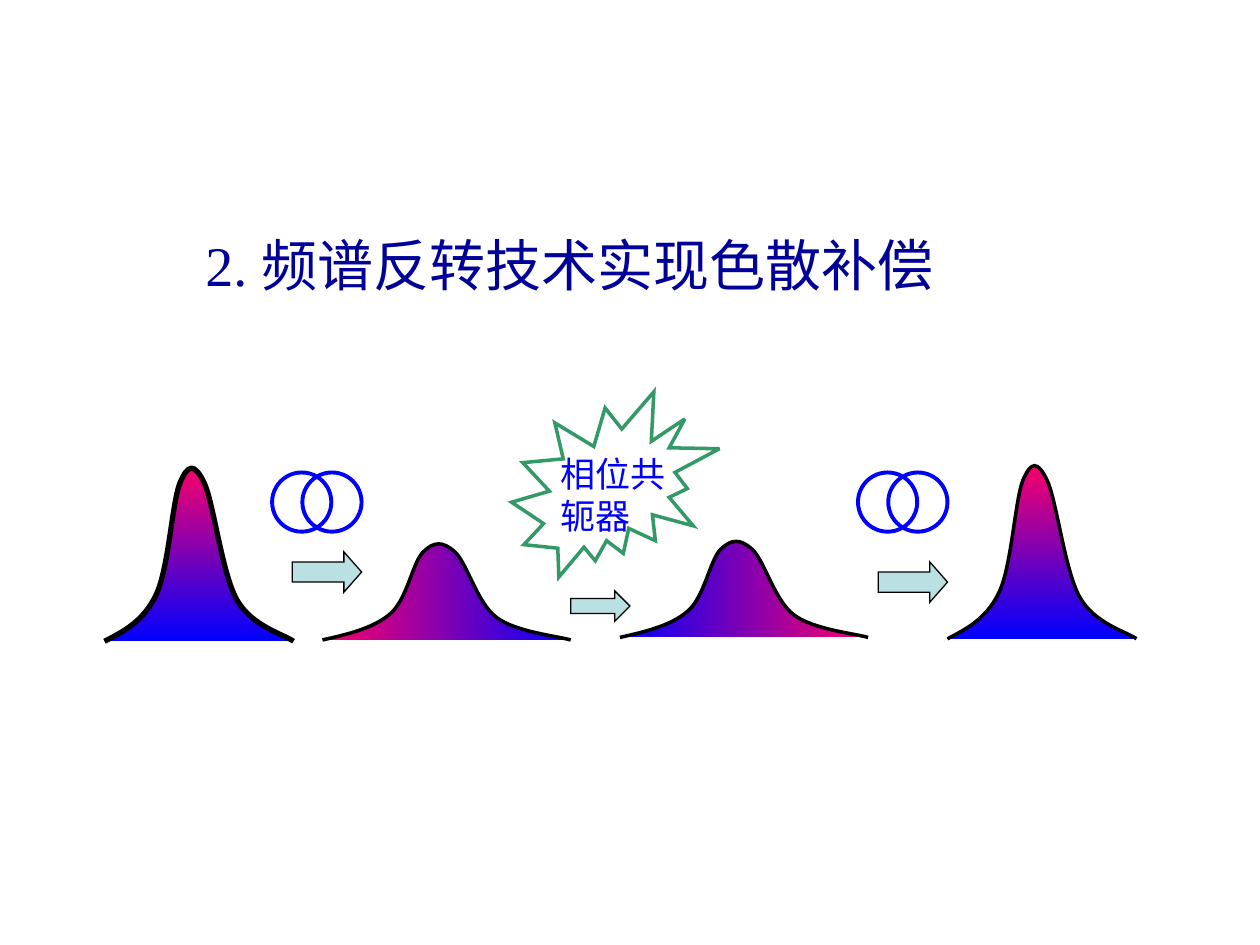
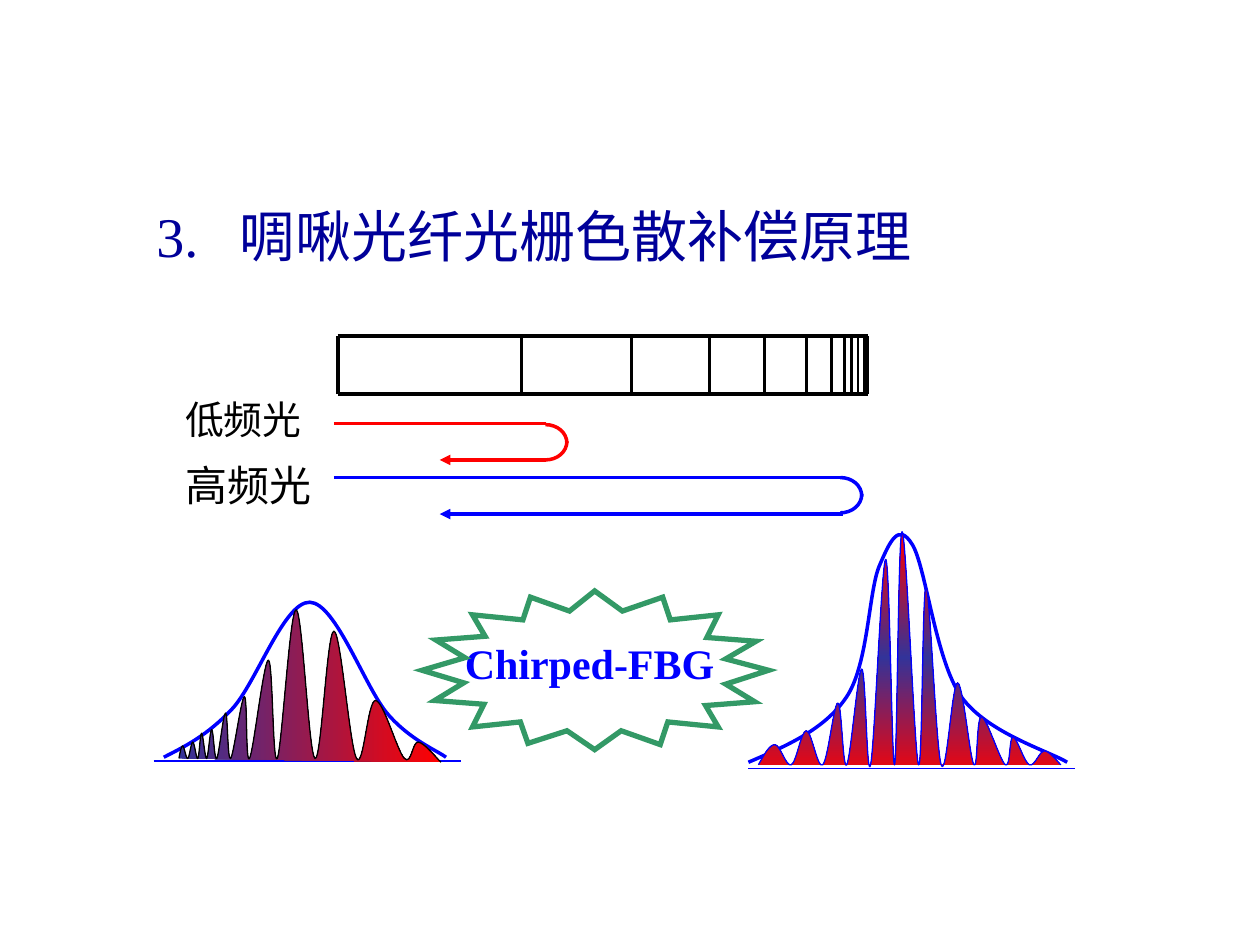
import copy
import itertools

import pptx
import pptx.dml.color
import pptx.enum.shapes
import pptx.enum.text
import pptx.oxml.ns
import pptx.util
from lxml import etree

Inches = pptx.util.Inches
Pt = pptx.util.Pt
RGB = pptx.dml.color.RGBColor.from_string
qn = pptx.oxml.ns.qn
SHAPE = pptx.enum.shapes.MSO_SHAPE

COLORS = {
    "title": "000099",
    "blue": "0000FF",
    "indigo": "333399",
    "red": "FF0000",
    "pink": "FF0066",
    "green": "339966",
    "arrow": "BBE0E3",
    "black": "000000",
}
LATIN_FONT = "Times New Roman"
ASIAN_FONT = "Noto Sans CJK SC"


def smooth_curve(knots):
    """Return start, then two controls and an end for each cubic piece through the knots."""
    points = [knots[0]]
    last = len(knots) - 1
    for index in range(last):
        before, start = knots[max(index - 1, 0)], knots[index]
        end, after = knots[index + 1], knots[min(index + 2, last)]
        control_2 = [e - (a - s) / 6 for s, e, a in zip(start, end, after)]
        if index == 0:
            control_1 = [(s + c) / 2 for s, c in zip(start, control_2)]
        else:
            control_1 = [s + (e - b) / 6 for b, s, e in zip(before, start, end)]
        points += [control_1, control_2, end]
    return points


def add_outline(slide, points, line_color, width, stops=(), angle=0, curved=True):
    """Draw cubic pieces, or a closed polygon; stops give a gradient (clockwise angle)."""
    corners = [(Inches(x), Inches(y)) for x, y in points]
    builder = slide.shapes.build_freeform(*corners[0], scale=1.0)
    builder.add_line_segments(corners[1:], close=not curved)
    shape = builder.convert_to_shape()
    shape.shadow.inherit = False
    shape.line.color.rgb = RGB(COLORS[line_color])
    shape.line.width = Pt(width)
    if curved:
        segments = list(shape._element.iter(qn("a:lnTo")))
        for first in range(0, len(segments), 3):
            piece = etree.Element(qn("a:cubicBezTo"))
            segments[first].addprevious(piece)
            for segment in segments[first:first + 3]:
                piece.append(segment[0])
                segment.getparent().remove(segment)
    else:
        etree.SubElement(shape.line._get_or_add_ln(), qn("a:miter"), lim="800000")
    if not stops:
        shape.fill.background()
        return
    shape.fill.gradient()
    shape.fill.gradient_angle = -angle % 360
    stop_list = shape._element.spPr.find(qn("a:gradFill")).find(qn("a:gsLst"))
    while len(stop_list) < len(stops):
        stop_list.append(copy.deepcopy(stop_list[0]))
    for index, (stop, color) in enumerate(zip(shape.fill.gradient_stops, stops)):
        stop.position = index / (len(stops) - 1)
        stop.color.rgb = RGB(COLORS[color])


presentation = pptx.Presentation()
presentation.slide_width = Inches(10)
presentation.slide_height = Inches(7.5)
title_only = presentation.slide_layouts[5]
inversion = presentation.slides.add_slide(title_only)
grating = presentation.slides.add_slide(title_only)

# Titles and labels: shape, box, text, size, color, bold, line spacing, indent, tab stop
texts = [
    (inversion.shapes.title, (1.53, 1.78, 6.14, 0.64),
     "2. 频谱反转技术实现色散补偿", 32, "title", False, 1, 0, None),
    (grating.shapes.title, (1.14, 1.55, 7.09, 0.64),
     "3.\t啁啾光纤光栅色散补偿原理", 32, "title", False, 1, 0, 0.66),
    (inversion.shapes.add_textbox(0, 0, 0, 0), (4.35, 3.54, 1.13, 0.77),
     "相位共轭器", 20, "blue", False, 1, 0, None),
    (grating.shapes.add_textbox(0, 0, 0, 0), (1.37, 3.6, 1.31, 0.56),
     "高频光", 24, "black", False, 1, 0, None),
    (grating.shapes.add_textbox(0, 0, 0, 0), (1.37, 3.13, 1.62, 0.48),
     "低频光", 22.2, "black", False, 0.9, 0, None),
    (grating.shapes.add_textbox(0, 0, 0, 0), (3.5, 5.01, 2.52, 0.5),
     "Chirped-FBG", 24, "blue", True, 1, 0.09, None),
]
for shape, box, text, size, color, bold, spacing, indent, tab_stop in texts:
    shape.left, shape.top, shape.width, shape.height = map(Inches, box)
    frame = shape.text_frame
    frame.word_wrap = True
    frame.auto_size = pptx.enum.text.MSO_AUTO_SIZE.NONE
    frame.vertical_anchor = pptx.enum.text.MSO_ANCHOR.TOP
    paragraph = frame.paragraphs[0]
    paragraph.alignment = pptx.enum.text.PP_ALIGN.LEFT
    paragraph.line_spacing = spacing
    properties = paragraph._p.get_or_add_pPr()
    if indent:
        properties.set("marL", str(Inches(indent)))
    if tab_stop:
        tabs = etree.SubElement(properties, qn("a:tabLst"))
        etree.SubElement(tabs, qn("a:tab"), pos=str(Inches(tab_stop)), algn="l")
    run = paragraph.add_run()
    run.text = text
    run.font.size = Pt(size)
    run.font.bold = bold
    run.font.color.rgb = RGB(COLORS[color])
    run.font.name = LATIN_FONT
    etree.SubElement(run._r.get_or_add_rPr(), qn("a:ea"), typeface=ASIAN_FONT)

# Pulses before and after each fibre, as offsets from the left foot
narrow_pulse = [(0, 0), (0.41, -0.37), (0.6, -1.26), (0.79, -1.26), (1.05, -0.33), (1.5, 0)]
wide_pulse = [(0, 0), (0.54, -0.21), (0.8, -0.7), (1.05, -0.7), (1.38, -0.18), (1.97, 0)]
pulses = [
    (narrow_pulse, 0.83, 5.09, 3, ("pink", "blue"), 90),
    (wide_pulse, 2.56, 5.08, 2, ("pink", "blue"), 0),
    (wide_pulse, 4.92, 5.06, 2, ("blue", "pink"), 0),
    (narrow_pulse, 7.52, 5.07, 2, ("pink", "blue"), 90),
]
for pulse, left, foot, width, stops, angle in pulses:
    knots = [(left + x, foot + y) for x, y in pulse]
    add_outline(inversion, smooth_curve(knots), "black", width, stops, angle)

# Preset shapes: kind, box, fill, line color, line width, adjustments
presets = [(SHAPE.EXPLOSION2, (4.06, 3.11, 1.65, 1.47), None, "green", 2, ())]
for fibre_left, loop in itertools.product((2.16, 6.81), range(2)):
    loop_box = (fibre_left + 0.24 * loop, 3.75, 0.47, 0.47)
    presets.append((SHAPE.OVAL, loop_box, None, "blue", 2.25, ()))
for arrow_box, head in (
    ((2.32, 4.38, 0.55, 0.32), 0.44),
    ((6.97, 4.46, 0.55, 0.32), 0.44),
    ((4.53, 4.69, 0.47, 0.24), 0.5),
):
    presets.append((SHAPE.RIGHT_ARROW, arrow_box, "arrow", "black", 0.75, (0.5, head)))

for kind, box, fill, line_color, width, adjustments in presets:
    shape = inversion.shapes.add_shape(kind, *map(Inches, box))
    shape.shadow.inherit = False
    if fill:
        shape.fill.solid()
        shape.fill.fore_color.rgb = RGB(COLORS[fill])
    else:
        shape.fill.background()
    shape.line.color.rgb = RGB(COLORS[line_color])
    shape.line.width = Pt(width)
    etree.SubElement(shape.line._get_or_add_ln(), qn("a:miter"), lim="800000")
    for index, value in enumerate(adjustments):
        shape.adjustments[index] = value

# Straight lines of the grating slide: from, to, color, width, arrowhead
grating_left, grating_right, grating_top, grating_bottom = 2.68, 6.88, 2.67, 3.13
lines = []
for y in (grating_top, grating_bottom):
    lines.append(((grating_left, y), (grating_right + 0.01, y), "black", 2.25, False))
for x in (grating_left, grating_right):
    lines.append(((x, grating_top), (x, grating_bottom), "black", 2.25, False))
divider_shifts = {6.07: -0.01, 6.86: 0.01}
for x in (4.14, 5.01, 5.63, 6.07, 6.4, 6.6, 6.7, 6.76, 6.81, 6.86):
    shift = divider_shifts.get(x, 0)
    lines.append(((x, grating_top + shift), (x, grating_bottom + shift), "black", 1.5, False))
for color, line_end, top in (("red", 4.33, 3.36), ("blue", 6.69, 3.79)):
    bottom = top + 0.29
    lines.append(((2.65, top), (line_end, top), color, 2, False))
    lines.append(((line_end, bottom), (3.49, bottom), color, 2, True))
for left, right, y in ((1.22, 3.66, 6.04), (5.94, 8.53, 6.1)):
    lines.append(((left, y), (right, y), "blue", 0.75, False))

for start, end, color, width, arrowhead in lines:
    connector = grating.shapes.add_connector(
        pptx.enum.shapes.MSO_CONNECTOR.STRAIGHT, *map(Inches, start + end))
    connector.line.color.rgb = RGB(COLORS[color])
    connector.line.width = Pt(width)
    if arrowhead:
        etree.SubElement(connector.line._get_or_add_ln(), qn("a:tailEnd"), type="triangle")
    etree.SubElement(connector._element.spPr, qn("a:effectLst"))

# Quarter turns at the reflection points: color, left, outer end, direction to the tip
for color, left, outer, direction in (
    ("red", 4.33, 3.37, 1), ("red", 4.33, 3.65, -1),
    ("blue", 6.67, 3.79, 1), ("blue", 6.67, 4.07, -1),
):
    turn = [(0, 0), (0.09, 0), (0.17, 0.06), (0.17, 0.15)]
    add_outline(grating, [(left + x, outer + direction * y) for x, y in turn], color, 2)

# Chirped and compressed pulses: envelope, valley level, valleys, peaks, fill, line
chirped_envelope = [(1.3, 6.01), (1.84, 5.63), (2.46, 4.78), (3.08, 5.67), (3.54, 6.01)]
chirped_valleys = [1.42, 1.49, 1.57, 1.64, 1.72, 1.83, 1.98, 2.2, 2.5, 2.83, 3.21]
chirped_peaks = [
    (1.45, 5.92), (1.53, 5.89), (1.6, 5.82), (1.68, 5.79), (1.79, 5.66), (1.94, 5.53),
    (2.13, 5.24), (2.35, 4.84), (2.65, 5.01), (2.98, 5.56), (3.32, 5.89),
]
compressed_envelope = [
    (5.94, 6.05), (6.72, 5.53), (6.98, 4.49), (7.24, 4.32), (7.63, 5.53), (8.47, 6.05),
]
compressed_valleys = [6.02, 6.28, 6.53, 6.72, 6.91, 7.1, 7.29, 7.47, 7.73, 7.98, 8.17]
compressed_peaks = [
    (6.15, 5.91), (6.4, 5.8), (6.65, 5.58), (6.84, 5.31), (7.03, 4.44), (7.16, 4.22),
    (7.35, 4.66), (7.6, 5.42), (7.79, 5.69), (8.04, 5.85), (8.29, 5.96),
]
wave_packets = [
    (chirped_envelope, 6.02, chirped_valleys, chirped_peaks, (3.5, 6.05),
     ("indigo", "red"), 0, "black"),
    (compressed_envelope, 6.07, compressed_valleys, compressed_peaks, (8.42, 6.07),
     ("red", "indigo", "red"), 90, "blue"),
]
for envelope, level, valleys, peaks, last_knot, stops, angle, line_color in wave_packets:
    add_outline(grating, smooth_curve(envelope), "blue", 2)
    feet = [(x, level) for x in valleys]
    knots = [*itertools.chain.from_iterable(zip(feet, peaks)), last_knot]
    add_outline(grating, smooth_curve(knots), line_color, 0.75, stops, angle)

burst = [
    (3.35, 5.32), (3.68, 5.42), (3.45, 5.56), (3.84, 5.59), (3.75, 5.77), (4.13, 5.73),
    (4.19, 5.9), (4.5, 5.8), (4.72, 5.95), (4.93, 5.8), (5.24, 5.91), (5.3, 5.73),
    (5.7, 5.77), (5.6, 5.6), (5.99, 5.57), (5.76, 5.43), (6.1, 5.32), (5.76, 5.23),
    (6, 5.09), (5.61, 5.06), (5.7, 4.88), (5.32, 4.92), (5.26, 4.74), (4.94, 4.85),
    (4.72, 4.69), (4.52, 4.85), (4.21, 4.74), (4.15, 4.92), (3.75, 4.88), (3.85, 5.05),
    (3.46, 5.08), (3.69, 5.22),
]
add_outline(grating, burst, "green", 3, curved=False)

presentation.save("out.pptx")
